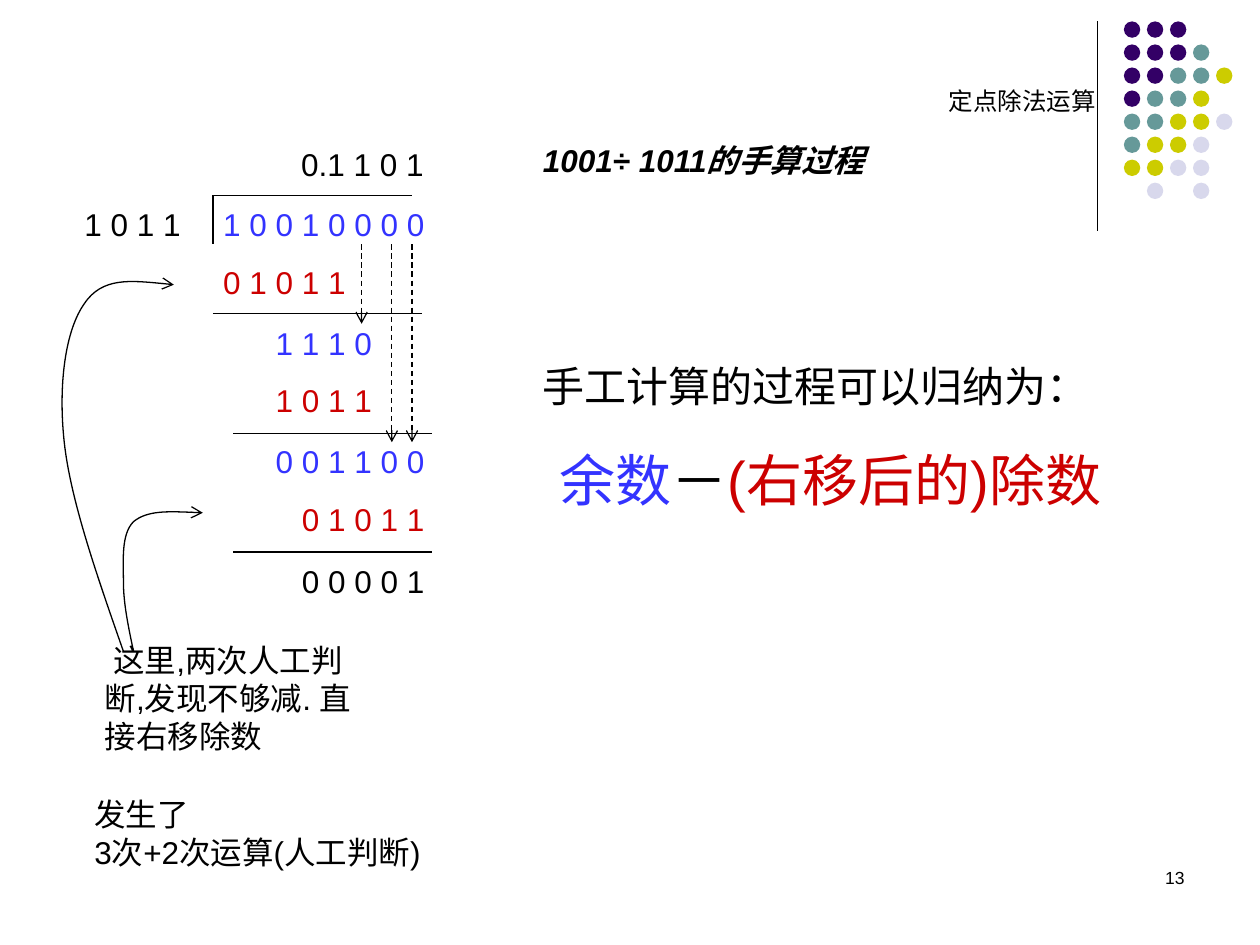
from pptx import Presentation
from pptx.dml.color import RGBColor
from pptx.enum.dml import MSO_LINE
from pptx.enum.shapes import MSO_CONNECTOR, MSO_SHAPE
from pptx.enum.text import MSO_ANCHOR, PP_ALIGN
from pptx.oxml.ns import qn
from pptx.util import Inches, Pt
from lxml import etree

STRAIGHT = MSO_CONNECTOR.STRAIGHT
ELLIPSE = MSO_SHAPE.OVAL
DASH = MSO_LINE.DASH
TOP = MSO_ANCHOR.TOP
LEFT, RIGHT = PP_ALIGN.LEFT, PP_ALIGN.RIGHT

FONT = "Arial"
COLORS = {
    "black": "000000", "remainder": "3333FF", "divisor": "CC0000",
    "P": "330066", "T": "669999", "Y": "CCCC00", "L": "D8D8EC",
}
DOT_ROWS = ["PPP", "PPPT", "PPTTY", "PTTY", "TTYYL", "TYYL", "YYLL", " L L"]
DOT_PITCH = 1.28 / 7
DIGIT_PITCH = 0.625 / 3  # one digit and its space at 18 pt
ROW_GAP = 11.2

# top of each step, then its rows: digits, columns shifted right, colour
DIVISION_STEPS = [
    (1.63, [("1 0 0 1 0 0 0 0", 0, "remainder"), ("0 1 0 1 1", 0, "divisor")]),
    (2.57, [("1 1 1 0", 2, "remainder"), ("1 0 1 1", 2, "divisor")]),
    (3.51, [("0 0 1 1 0 0", 2, "remainder"), ("0 1 0 1 1", 3, "divisor")]),
    (4.46, [("0 0 0 0 1", 3, "black")]),
]
RULES = [
    (1.69, 1.55, 3.27, 1.55), (1.69, 1.55, 1.69, 1.94),
    (1.69, 2.49, 3.35, 2.49), (1.85, 3.44, 3.43, 3.44), (1.85, 4.38, 3.43, 4.38),
]
BRING_DOWNS = [(2.87, 2.57), (3.11, 3.51), (3.27, 3.51)]
JUDGEMENT_CURVES = [
    [(0.98, 5.17), (0.77, 4.57), (0.56, 3.97), (0.51, 3.51), (0.46, 3.05),
     (0.52, 2.62), (0.67, 2.41), (0.81, 2.2), (1.09, 2.23), (1.38, 2.26)],
    [(1.06, 5.17), (1.02, 4.98), (0.98, 4.79), (0.98, 4.62), (0.98, 4.45),
     (0.96, 4.24), (1.06, 4.14), (1.17, 4.05), (1.39, 4.06), (1.61, 4.07)],
]


def color(name):
    return RGBColor.from_string(COLORS[name])


def style_line(line, arrow=False):
    line.color.rgb = color("black")
    line.width = Pt(0.75)
    if arrow:
        etree.SubElement(line._get_or_add_ln(), qn("a:tailEnd"), type="arrow")


def add_line(slide, x1, y1, x2, y2, dashed_arrow=False):
    connector = slide.shapes.add_connector(
        STRAIGHT, Inches(x1), Inches(y1), Inches(x2), Inches(y2))
    if dashed_arrow:
        connector.line.dash_style = DASH
    style_line(connector.line, dashed_arrow)
    etree.SubElement(connector._element.spPr, qn("a:effectLst"))


def add_curved_arrow(slide, points):
    """Draw a start point followed by cubic Bezier triples, with an arrowhead."""
    corners = [(Inches(x), Inches(y)) for x, y in points]
    builder = slide.shapes.build_freeform(*corners[0])
    builder.add_line_segments(corners[1:], close=False)
    curve = builder.convert_to_shape()
    outline = next(curve._element.iter(qn("a:path")))
    segments = outline.findall(qn("a:lnTo"))
    for first in range(0, len(segments), 3):
        bezier = etree.SubElement(outline, qn("a:cubicBezTo"))
        for segment in segments[first:first + 3]:
            bezier.append(segment[0])
            outline.remove(segment)
    curve.fill.background()
    curve.shadow.inherit = False
    style_line(curve.line, arrow=True)


def add_dots(slide):
    for row, codes in enumerate(DOT_ROWS):
        for column, code in enumerate(codes):
            if code == " ":
                continue
            dot = slide.shapes.add_shape(
                ELLIPSE, Inches(8.92 + column * DOT_PITCH),
                Inches(0.17 + row * DOT_PITCH), Inches(0.13), Inches(0.13))
            dot.fill.solid()
            dot.fill.fore_color.rgb = color(code)
            dot.line.fill.background()
            dot.shadow.inherit = False


def set_frame(shape, box, inset=False, wrap=True):
    shape.left, shape.top, shape.width, shape.height = map(Inches, box)
    frame = shape.text_frame
    frame.word_wrap = wrap
    frame.vertical_anchor = TOP
    frame.margin_left = frame.margin_right = Inches(0.1 if inset else 0)
    frame.margin_top = frame.margin_bottom = Inches(0.05 if inset else 0)
    return frame


def add_text_box(slide, box, inset=False, wrap=True):
    shape = slide.shapes.add_textbox(*map(Inches, box))
    return set_frame(shape, box, inset, wrap)


def write(frame, text="", size=18, tint="black", gap=0, margin=0, indent=0, align=LEFT):
    """Fill the empty first paragraph, or append a new one."""
    first = frame.paragraphs[0]
    is_first = not first.runs
    paragraph = first if is_first else frame.add_paragraph()
    if text:
        paragraph.add_run().text = text
    properties = paragraph._p.get_or_add_pPr()
    properties.set("marL", str(Inches(margin)))
    properties.set("indent", str(Inches(indent)))
    paragraph.alignment = align
    paragraph.space_before = Pt(0 if is_first else gap)
    paragraph.font.name = FONT
    paragraph.font.size = Pt(size)
    paragraph.font.color.rgb = color(tint)
    return paragraph


def add_division(slide):
    for rule in RULES:
        add_line(slide, *rule)
    for top, rows in DIVISION_STEPS:
        frame = add_text_box(slide, (1.77, top, 2.05, 0.44 * len(rows) - 0.14))
        for digits, shift, tint in rows:
            write(frame, digits, tint=tint, gap=ROW_GAP, margin=shift * DIGIT_PITCH)
    write(add_text_box(slide, (0.67, 1.63, 0.94, 0.3)), "1 0 1 1")
    write(add_text_box(slide, (2.39, 1.15, 1.35, 0.3)), "0.1 1 0 1")
    for x, bottom in BRING_DOWNS:
        add_line(slide, x, 1.94, x, bottom, dashed_arrow=True)


def add_judgement_notes(slide):
    note = add_text_box(slide, (0.83, 5.09, 2.05, 0.9))
    write(note, "这里,两次人工判断,发现不够减. 直接右移除数", indent=0.07)
    for points in JUDGEMENT_CURVES:
        add_curved_arrow(slide, points)
    count = add_text_box(slide, (0.65, 6.26, 3.15, 0.7), inset=True, wrap=False)
    write(count, "发生了")
    write(count, "3次+2次运算(人工判断)")


def add_summary(slide):
    heading = add_text_box(slide, (4.21, 1.07, 3.23, 0.4), inset=True)
    process = write(heading, "1001÷ 1011的手算过程")
    process.font.bold = process.font.italic = True
    summary = add_text_box(slide, (4.21, 2.81, 5.35, 1.31), inset=True)
    write(summary, "手工计算的过程可以归纳为：", size=24)
    formula = write(summary, size=32, gap=20, margin=0.13)
    for term, tint in [("余数", "remainder"), ("－", "black"), ("(右移后的)除数", "divisor")]:
        run = formula.add_run()
        run.text = term
        run.font.color.rgb = color(tint)


def main():
    presentation = Presentation()
    presentation.slide_width, presentation.slide_height = Inches(10), Inches(7.5)
    slide = presentation.slides.add_slide(presentation.slide_layouts[5])
    add_line(slide, 8.71, 0.17, 8.71, 1.83)
    add_dots(slide)
    title = set_frame(slide.shapes.title, (7.53, 0.68, 1.17, 0.23), wrap=False)
    write(title, "定点除法运算", size=14)
    add_division(slide)
    add_judgement_notes(slide)
    add_summary(slide)
    page_number = add_text_box(slide, (7.17, 6.83, 2.33, 0.5), inset=True)
    write(page_number, "13", size=10, align=RIGHT)
    presentation.save("out.pptx")


if __name__ == "__main__":
    main()
